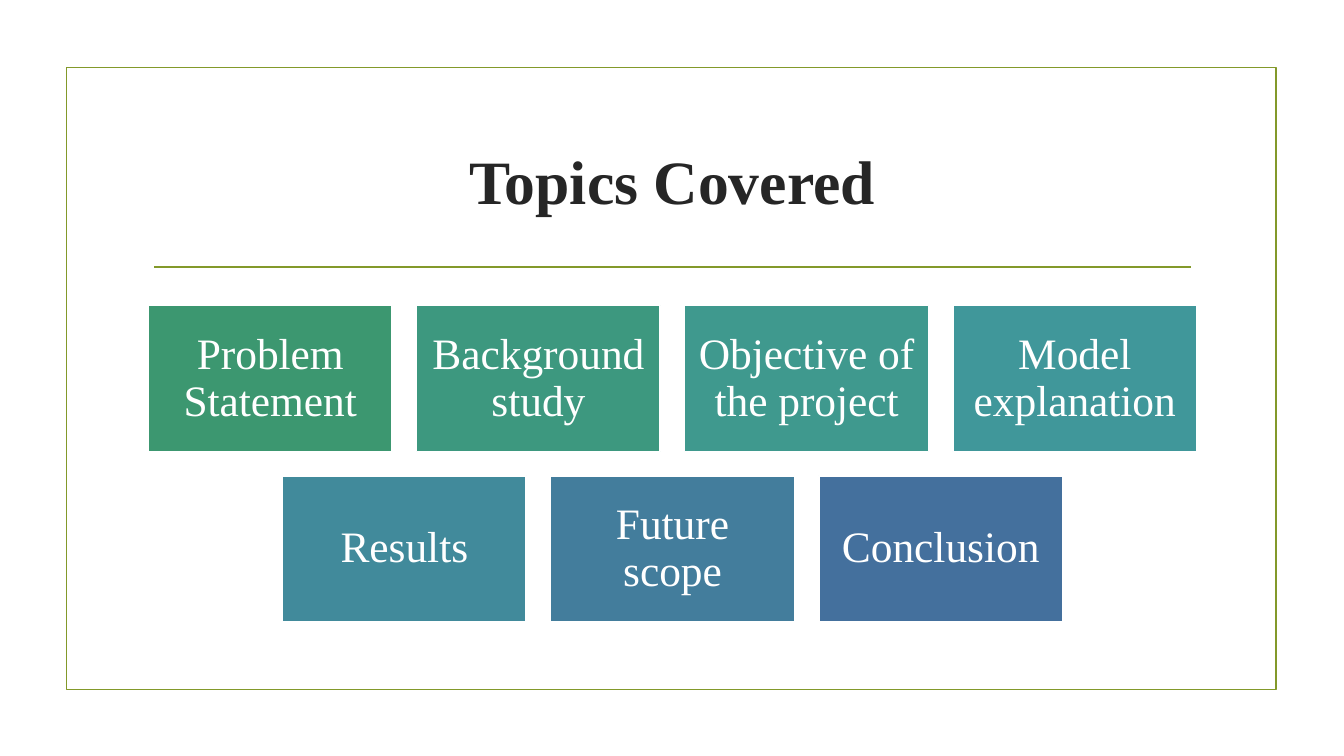
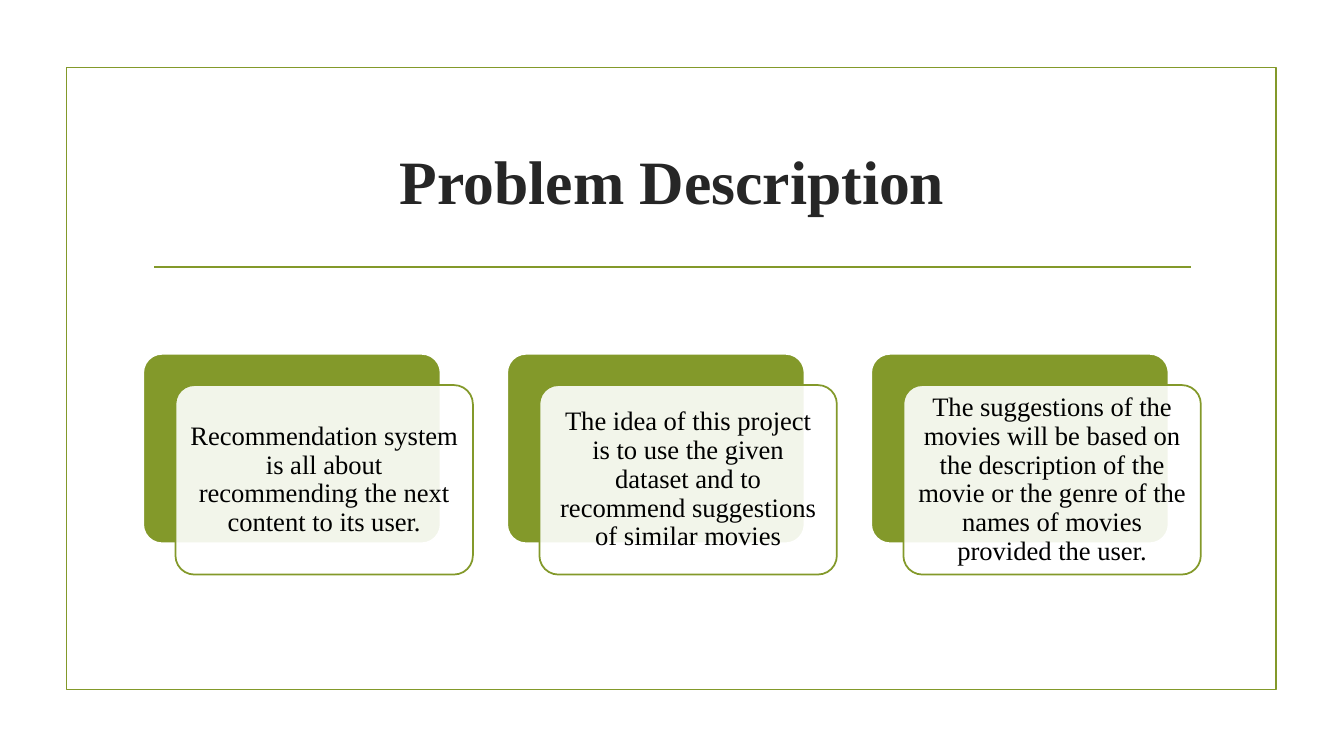
"""Build two framed slides: a grid of topics and a row of problem cards."""
from dataclasses import dataclass
from typing import Any, Optional

from lxml import etree
from pptx import Presentation
from pptx.dml.color import RGBColor
from pptx.enum.shapes import MSO_CONNECTOR, MSO_SHAPE
from pptx.enum.text import MSO_ANCHOR, PP_ALIGN
from pptx.oxml.ns import qn
from pptx.util import Inches, Pt

RECTANGLE = MSO_SHAPE.RECTANGLE
ROUNDED = MSO_SHAPE.ROUNDED_RECTANGLE
STRAIGHT = MSO_CONNECTOR.STRAIGHT
MIDDLE = MSO_ANCHOR.MIDDLE
CENTER = PP_ALIGN.CENTER
BLANK_LAYOUT = 6


@dataclass(frozen=True)
class Theme:
    olive: RGBColor = RGBColor.from_string("83992A")
    white: RGBColor = RGBColor.from_string("FFFFFF")
    black: RGBColor = RGBColor.from_string("000000")
    title_color: RGBColor = RGBColor.from_string("262626")
    font: str = "Times New Roman"
    title_size: int = 44
    topic_size: int = 31
    card_size: int = 19
    line_width: float = 1.25
    card_opacity: int = 90


@dataclass(frozen=True)
class Box:
    left: float
    top: float
    width: float
    height: float

    def moved(self, right: float, down: float) -> "Box":
        return Box(self.left + right, self.top + down, self.width, self.height)

    def lengths(self) -> list[int]:
        return [Inches(value) for value in (self.left, self.top, self.width, self.height)]


@dataclass(frozen=True)
class TextStyle:
    size: int
    color: RGBColor
    margin: float
    bold: bool = False
    line_spacing: float = 0.9


@dataclass(frozen=True)
class Topic:
    text: str
    color: str


THEME = Theme()
TITLE_STYLE = TextStyle(THEME.title_size, THEME.title_color, 0.1, True, 1.0)
TOPIC_STYLE = TextStyle(THEME.topic_size, THEME.white, 0.13)
CARD_STYLE = TextStyle(THEME.card_size, THEME.black, 0.08)

FRAME = Box(0.66, 0.67, 12, 6.17)
TITLE_BOX = Box(1.42, 1.07, 10.5, 1.43)
RULE_LEFT, RULE_RIGHT, RULE_TOP = 1.53, 11.81, 2.65

TOPIC_BOX = Box(1.47, 3.03, 2.42, 1.45)
TOPIC_GAP = 0.24
TOPIC_ROWS = [
    [
        Topic("Problem Statement", "3C9770"),
        Topic("Background study", "3D987F"),
        Topic("Objective of the project", "3F998E"),
        Topic("Model explanation", "40979A"),
    ],
    [
        Topic("Results", "418A9B"),
        Topic("Future scope", "437D9C"),
        Topic("Conclusion", "44709D"),
    ],
]

CARD_BOX = Box(1.42, 3.51, 2.95, 1.88)
CARD_PITCH = 3.61
CARD_SHIFT = (0.32, 0.31)
CARD_ROUNDING = 0.1
CARDS = [
    "Recommendation system is all about recommending the next content to its user.",
    "The idea of this project is to use the given dataset and to recommend "
    "suggestions of similar movies",
    "The suggestions of the movies will be based on the description of the movie "
    "or the genre of the names of movies provided the user.",
]


def set_values(target: Any, values: dict[str, Any]) -> None:
    """Set every named format value on the target."""
    for name, value in values.items():
        setattr(target, name, value)


def set_line(shape: Any, color: RGBColor) -> None:
    """Give a shape or connector a line of the theme width."""
    shape.line.color.rgb = color
    shape.line.width = Pt(THEME.line_width)


def add_box(slide: Any, kind: Any, box: Box, fill: Optional[RGBColor], line: RGBColor) -> Any:
    """Add a flat preset shape, unfilled when no fill is given."""
    shape = slide.shapes.add_shape(kind, *box.lengths())
    shape.shadow.inherit = False
    if fill is None:
        shape.fill.background()
    else:
        shape.fill.solid()
        shape.fill.fore_color.rgb = fill
    set_line(shape, line)
    if kind == ROUNDED:
        shape.adjustments[0] = CARD_ROUNDING
    return shape


def set_opacity(shape: Any, percent: int) -> None:
    """Make the solid fill of a shape partly transparent."""
    color = shape.element.spPr.find(qn("a:solidFill"))[0]
    etree.SubElement(color, qn("a:alpha"), val=str(percent * 1000))


def write_text(shape: Any, text: str, style: TextStyle) -> None:
    """Write one centred paragraph in the given style."""
    margin = Inches(style.margin)
    frame = shape.text_frame
    set_values(frame, {
        "word_wrap": True,
        "vertical_anchor": MIDDLE,
        "margin_left": margin,
        "margin_right": margin,
        "margin_top": margin,
        "margin_bottom": margin,
    })
    paragraph = frame.paragraphs[0]
    set_values(paragraph, {"alignment": CENTER, "line_spacing": style.line_spacing})
    run = paragraph.add_run()
    run.text = text
    set_values(run.font, {"name": THEME.font, "size": Pt(style.size), "bold": style.bold})
    run.font.color.rgb = style.color


def add_framed_slide(presentation: Any, title: str) -> Any:
    """Add a slide with the shared frame, rule and title."""
    slide = presentation.slides.add_slide(presentation.slide_layouts[BLANK_LAYOUT])
    add_box(slide, RECTANGLE, FRAME, None, THEME.olive)
    ends = [Inches(value) for value in (RULE_LEFT, RULE_TOP, RULE_RIGHT, RULE_TOP)]
    rule = slide.shapes.add_connector(STRAIGHT, *ends)
    set_line(rule, THEME.olive)
    etree.SubElement(rule.element.spPr, qn("a:effectLst"))
    write_text(slide.shapes.add_textbox(*TITLE_BOX.lengths()), title, TITLE_STYLE)
    return slide


def add_topics(slide: Any) -> None:
    """Draw the topic tiles in rows centred under the first row."""
    pitch_across = TOPIC_BOX.width + TOPIC_GAP
    pitch_down = TOPIC_BOX.height + TOPIC_GAP
    columns = max(len(row) for row in TOPIC_ROWS)
    for row_index, row in enumerate(TOPIC_ROWS):
        indent = (columns - len(row)) / 2
        for column, topic in enumerate(row):
            box = TOPIC_BOX.moved((indent + column) * pitch_across, row_index * pitch_down)
            color = RGBColor.from_string(topic.color)
            tile = add_box(slide, RECTANGLE, box, color, THEME.white)
            write_text(tile, topic.text, TOPIC_STYLE)


def add_cards(slide: Any) -> None:
    """Draw each text card over its olive backing."""
    for index, text in enumerate(CARDS):
        box = CARD_BOX.moved(index * CARD_PITCH, 0)
        add_box(slide, ROUNDED, box, THEME.olive, THEME.white)
        card = add_box(slide, ROUNDED, box.moved(*CARD_SHIFT), THEME.white, THEME.olive)
        set_opacity(card, THEME.card_opacity)
        write_text(card, text, CARD_STYLE)


def main() -> None:
    """Build and save the presentation."""
    presentation = Presentation()
    set_values(presentation, {"slide_width": Inches(13.33), "slide_height": Inches(7.5)})
    add_topics(add_framed_slide(presentation, "Topics Covered"))
    add_cards(add_framed_slide(presentation, "Problem Description"))
    presentation.save("out.pptx")


if __name__ == "__main__":
    main()
